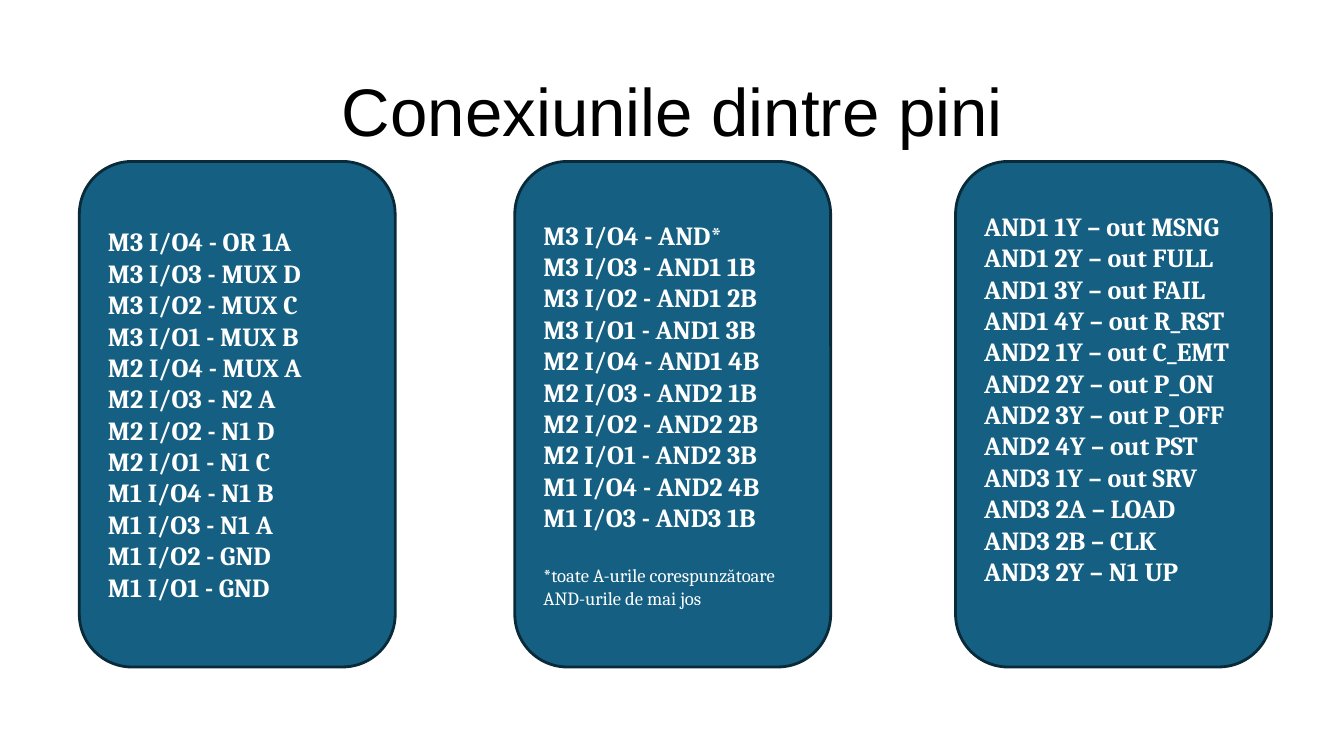
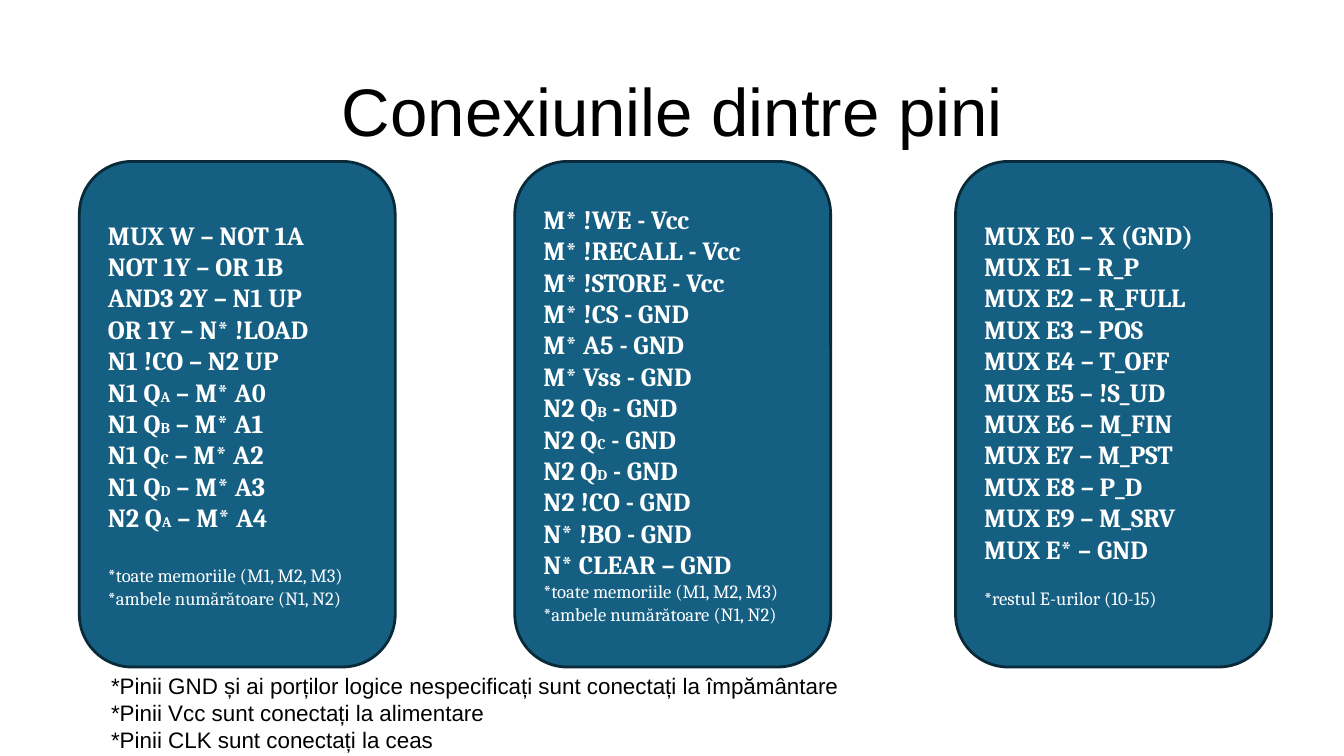
import pptx
import pptx.dml.color
import pptx.enum.shapes
import pptx.enum.text
import pptx.util
from pptx.util import Cm

# Shared look
CARD_FILL, CARD_LINE, WHITE, BLACK = "156082", "092A39", "FFFFFF", "000000"
TITLE = "Conexiunile dintre pini"
CARD_LEFTS = (1.5, 9.73, 18.06)
CARD_TOP, CARD_WIDTH, CARD_HEIGHT = 3.05, 5.97, 9.55
INSET = 0.25
ANCHOR = pptx.enum.text.MSO_ANCHOR
ALIGN = pptx.enum.text.PP_ALIGN


def color(hex_string):
    return pptx.dml.color.RGBColor.from_string(hex_string)


def add_text(frame, text, size=14, font="Cambria", ink=WHITE, bold=False,
             align=ALIGN.LEFT, spacing=1.0, before=0):
    """Write one paragraph; a part between bars is set as a small index."""
    paragraph = frame.paragraphs[0]
    if paragraph.runs:
        paragraph = frame.add_paragraph()
    paragraph.alignment = align
    paragraph.line_spacing = spacing
    paragraph.space_before = pptx.util.Pt(before)
    for index, part in enumerate(text.split("|")):
        run = paragraph.add_run()
        run.text = part
        run.font.size = pptx.util.Pt(8 if index % 2 else size)
        run.font.name = font
        run.font.bold = bold
        run.font.color.rgb = color(ink)


# Content: each card has its pins, notes, gap above the notes (pt)
# and extra room at the bottom (cm)
SHARED_NOTES = ["*toate memoriile (M1, M2, M3)", "*ambele numărătoare (N1, N2)"]
SLIDES = [
    {
        "cards": [
            (["M3 I/O4 - OR 1A", "M3 I/O3 - MUX D", "M3 I/O2 - MUX C",
              "M3 I/O1 - MUX B", "M2 I/O4 - MUX A", "M2 I/O3 - N2 A",
              "M2 I/O2 - N1 D", "M2 I/O1 - N1 C", "M1 I/O4 - N1 B",
              "M1 I/O3 - N1 A", "M1 I/O2 - GND", "M1 I/O1 - GND"], [], 0, 0),
            (["M3 I/O4 - AND*", "M3 I/O3 - AND1 1B", "M3 I/O2 - AND1 2B",
              "M3 I/O1 - AND1 3B", "M2 I/O4 - AND1 4B", "M2 I/O3 - AND2 1B",
              "M2 I/O2 - AND2 2B", "M2 I/O1 - AND2 3B", "M1 I/O4 - AND2 4B",
              "M1 I/O3 - AND3 1B"],
             ["*toate A-urile corespunzătoare AND-urile de mai jos"], 16.8, 0),
            (["AND1 1Y – out MSNG", "AND1 2Y – out FULL", "AND1 3Y – out FAIL",
              "AND1 4Y – out R_RST", "AND2 1Y – out C_EMT", "AND2 2Y – out P_ON",
              "AND2 3Y – out P_OFF", "AND2 4Y – out PST", "AND3 1Y – out SRV",
              "AND3 2A – LOAD", "AND3 2B – CLK", "AND3 2Y – N1 UP"], [], 0, 0.59),
        ],
        "footnotes": [],
    },
    {
        "cards": [
            (["MUX W – NOT 1A", "NOT 1Y – OR 1B", "AND3 2Y – N1 UP",
              "OR 1Y – N* !LOAD", "N1 !CO – N2 UP", "N1 Q|A| – M* A0",
              "N1 Q|B| – M* A1", "N1 Q|C| – M* A2", "N1 Q|D| – M* A3",
              "N2 Q|A| – M* A4"], SHARED_NOTES, 16.8, 0),
            (["M* !WE - Vcc", "M* !RECALL - Vcc", "M* !STORE - Vcc",
              "M* !CS - GND", "M* A5 - GND", "M* Vss - GND", "N2 Q|B| - GND",
              "N2 Q|C| - GND", "N2 Q|D| - GND", "N2 !CO - GND",
              "N* !BO - GND", "N* CLEAR – GND"], SHARED_NOTES, 0, 0),
            (["MUX E0 – X (GND)", "MUX E1 – R_P", "MUX E2 – R_FULL",
              "MUX E3 – POS", "MUX E4 – T_OFF", "MUX E5 – !S_UD",
              "MUX E6 – M_FIN", "MUX E7 – M_PST", "MUX E8 – P_D",
              "MUX E9 – M_SRV", "MUX E* – GND"],
             ["*restul E-urilor (10-15)"], 12, 0),
        ],
        "footnotes": [
            "*Pinii GND și ai porților logice nespecificați sunt conectați la împământare",
            "*Pinii Vcc sunt conectați la alimentare",
            "*Pinii CLK sunt conectați la ceas",
        ],
    },
]

presentation = pptx.Presentation()
presentation.slide_width, presentation.slide_height = Cm(25.4), Cm(14.28)
title_only = presentation.slide_layouts[5]

for content in SLIDES:
    slide = presentation.slides.add_slide(title_only)

    # Title
    title = slide.shapes.title
    title.left, title.top, title.width, title.height = Cm(4.39), Cm(1.24), Cm(16.64), Cm(1.6)
    frame = title.text_frame
    frame.auto_size = pptx.enum.text.MSO_AUTO_SIZE.NONE
    frame.vertical_anchor = ANCHOR.TOP
    frame.margin_left = frame.margin_right = Cm(INSET)
    frame.margin_top = frame.margin_bottom = Cm(INSET)
    add_text(frame, TITLE, size=36, font="Arial", ink=BLACK,
             align=ALIGN.CENTER, spacing=0.9)

    # Pin cards
    for left, (pins, notes, gap, bottom_room) in zip(CARD_LEFTS, content["cards"]):
        card = slide.shapes.add_shape(
            pptx.enum.shapes.MSO_SHAPE.ROUNDED_RECTANGLE,
            Cm(left), Cm(CARD_TOP), Cm(CARD_WIDTH), Cm(CARD_HEIGHT))
        card.shadow.inherit = False
        card.fill.solid()
        card.fill.fore_color.rgb = color(CARD_FILL)
        card.line.color.rgb = color(CARD_LINE)
        card.line.width = pptx.util.Pt(1.5)
        frame = card.text_frame
        frame.word_wrap = True
        frame.vertical_anchor = ANCHOR.MIDDLE
        frame.margin_bottom = Cm(0.13 + bottom_room)
        for pin in pins:
            add_text(frame, pin, bold=True)
        for index, note in enumerate(notes):
            add_text(frame, note, size=10, before=0 if index else gap)

    # Footnotes under the cards
    if content["footnotes"]:
        footnote_box = slide.shapes.add_textbox(Cm(1.85), Cm(12.57), Cm(16.81), Cm(1.8))
        footnote_box.text_frame.word_wrap = True
        for footnote in content["footnotes"]:
            add_text(footnote_box.text_frame, footnote, size=12, font="Arial", ink=BLACK)

presentation.save("out.pptx")
